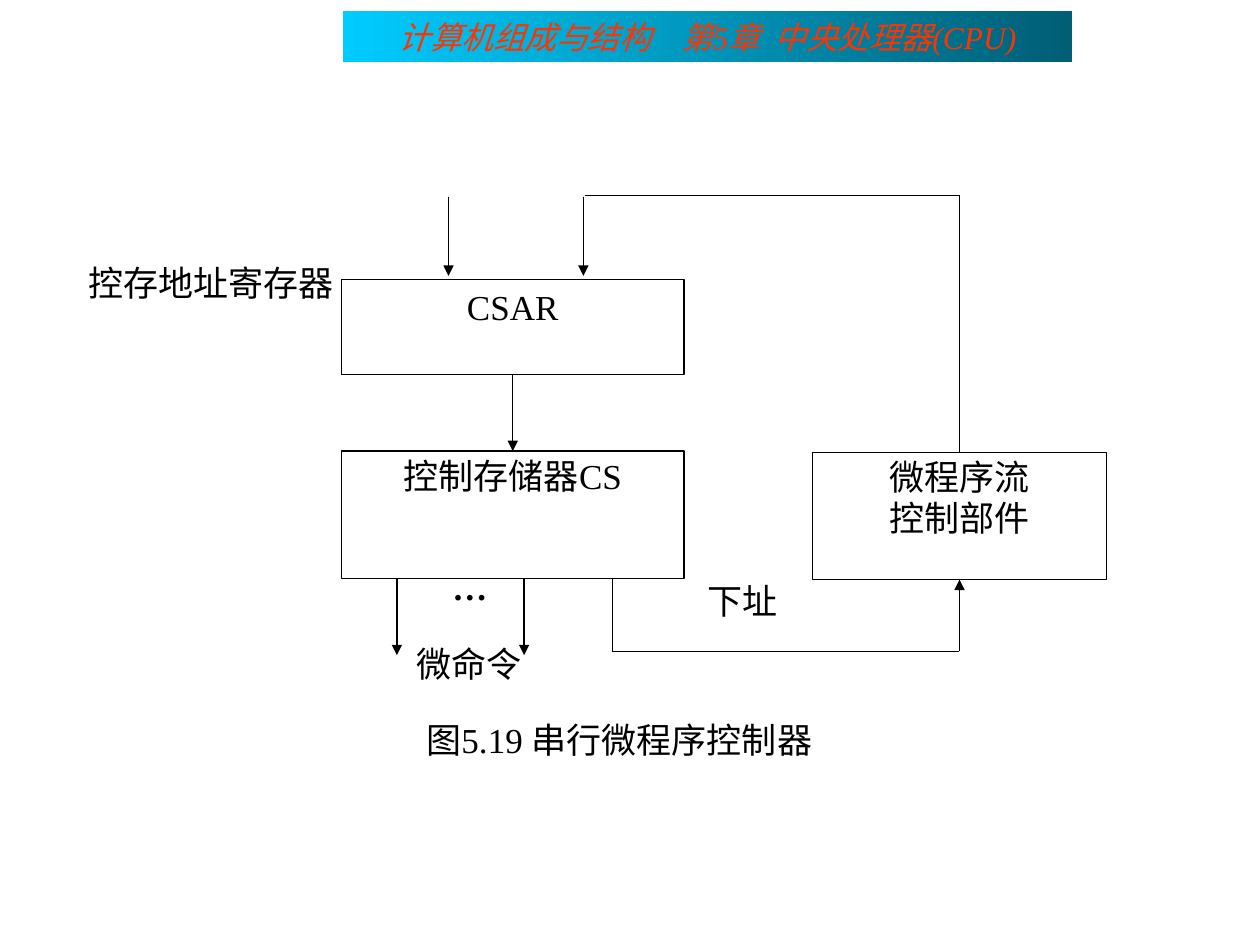
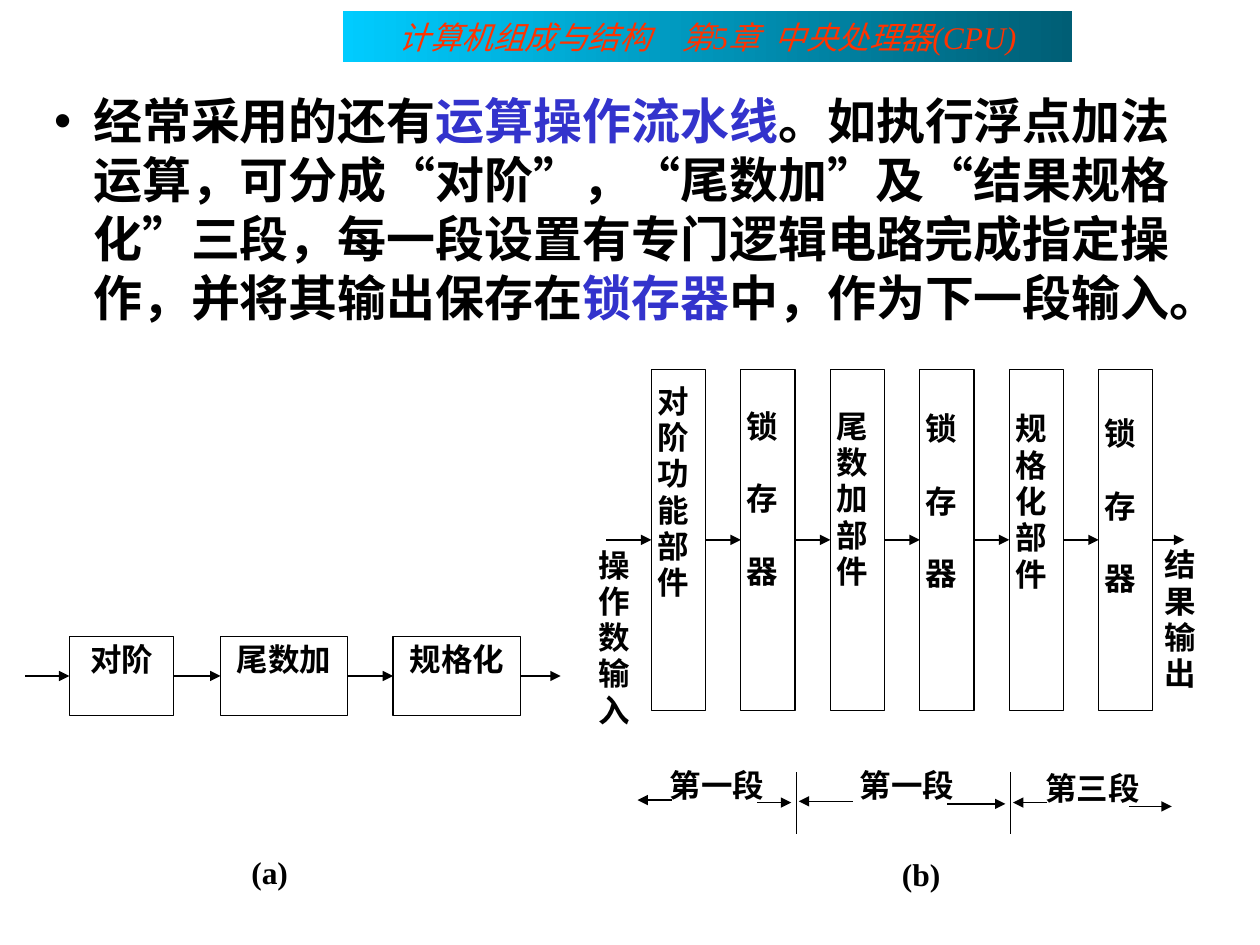
from typing import NamedTuple

from lxml.etree import SubElement
from pptx import Presentation
from pptx.dml.color import RGBColor
from pptx.enum.shapes import MSO_CONNECTOR, MSO_SHAPE
from pptx.enum.text import MSO_ANCHOR, MSO_AUTO_SIZE, PP_ALIGN
from pptx.oxml.ns import qn
from pptx.util import Inches, Pt

# Page grid: 100 columns by 75 rows
WIDE, HIGH = Inches(10), Inches(7.5)
COL, ROW = WIDE / 100, HIGH / 75

BLACK = RGBColor(0x00, 0x00, 0x00)
WHITE = RGBColor(0xFF, 0xFF, 0xFF)
RED = RGBColor(0xFF, 0x33, 0x00)
BLUE = RGBColor(0x33, 0x33, 0xCC)
CYAN = RGBColor(0x00, 0xCC, 0xFF)
TEAL = RGBColor(0x00, 0x5E, 0x75)
SERIF, SANS = "Times New Roman", "Arial"
TOP, LEFT, FOOT, RIGHT = range(4)


class Area(NamedTuple):
    x: float
    y: float
    w: float
    h: float


class Style(NamedTuple):
    size: float
    bold: bool = False
    italic: bool = False
    color: RGBColor = BLACK
    face: str = SERIF


class Label(NamedTuple):
    text: str
    area: Area
    style: Style
    line: float = 0.96
    gap: float = 0


class Wire(NamedTuple):
    x1: float
    y1: float
    x2: float
    y2: float
    arrow: bool = True


PLAIN = Style(20)
STRONG = Style(18, bold=True)
HEAD = Style(18, italic=True, color=RED)
BODY = Style(28, bold=True)


def place(area: Area) -> tuple:
    """Turn grid units into slide lengths."""
    return (round(area.x * COL), round(area.y * ROW),
            round(area.w * COL), round(area.h * ROW))


def move(shape, area: Area) -> None:
    shape.left, shape.top, shape.width, shape.height = place(area)


def add_run(para, text: str, style: Style, space: float = 0) -> None:
    run = para.add_run()
    run.text = text
    font = run.font
    font.name, font.size = style.face, Pt(style.size)
    font.bold, font.italic = style.bold, style.italic
    font.color.rgb = style.color
    props = run._r.get_or_add_rPr()
    props.set("lang", "zh-CN")
    if space:
        props.set("spc", str(round(space * 100)))


def write(frame, label: Label) -> None:
    """Fill a frame with centred lines, from its top edge."""
    frame.word_wrap = True
    frame.vertical_anchor = MSO_ANCHOR.TOP
    for i, text in enumerate(label.text.split("\n")):
        para = frame.add_paragraph() if i else frame.paragraphs[0]
        para.alignment = PP_ALIGN.CENTER
        para.line_spacing = label.line
        if i and label.gap:
            para.space_before = Pt(label.gap)
        add_run(para, text, label.style)


def add_text(slide, label: Label) -> None:
    write(slide.shapes.add_textbox(*place(label.area)).text_frame, label)


def add_box(slide, area: Area):
    box = slide.shapes.add_shape(MSO_SHAPE.RECTANGLE, *place(area))
    box.shadow.inherit = False
    box.fill.solid()
    box.fill.fore_color.rgb = WHITE
    box.line.color.rgb = BLACK
    box.line.width = Pt(0.75)
    return box


def add_block(slide, label: Label):
    box = add_box(slide, label.area)
    write(box.text_frame, label)
    return box


def add_wire(slide, wire: Wire, start=None, end=None):
    """Draw a line; start and end are (shape, side) pairs to join."""
    link = slide.shapes.add_connector(
        MSO_CONNECTOR.STRAIGHT,
        round(wire.x1 * COL), round(wire.y1 * ROW),
        round(wire.x2 * COL), round(wire.y2 * ROW))
    link.line.color.rgb = BLACK
    link.line.width = Pt(0.75)
    if wire.arrow:
        SubElement(link.line._get_or_add_ln(), qn("a:tailEnd"), type="triangle")
    SubElement(link._element.spPr, qn("a:effectLst"))
    if start:
        link.begin_connect(*start)
    if end:
        link.end_connect(*end)


def add_chain(slide, boxes: list, first: Wire, last: Wire) -> None:
    """Join boxes left to right, with one arrow in and one out."""
    add_wire(slide, first, end=(boxes[0], LEFT))
    for prev, box in zip(boxes, boxes[1:]):
        add_wire(slide, Wire(0, 0, 0, 0), (prev, RIGHT), (box, LEFT))
    add_wire(slide, last, start=(boxes[-1], RIGHT))


def new_slide(deck, kind: int):
    """Add a slide with the chapter band as its title."""
    slide = deck.slides.add_slide(deck.slide_layouts[kind])
    band = slide.shapes.title
    move(band, Area(27.2, 0.9, 57.9, 4))
    band.fill.gradient()
    band.fill.gradient_angle = 0
    for stop, color in zip(band.fill.gradient_stops, (CYAN, TEAL)):
        stop.color.rgb = color
    frame = band.text_frame
    frame.auto_size = MSO_AUTO_SIZE.NONE
    frame.vertical_anchor = MSO_ANCHOR.MIDDLE
    para = frame.paragraphs[0]
    para.alignment = PP_ALIGN.CENTER
    # Wide gaps are single spaces with added tracking
    for text, space in (("计算机组成与结构", 0), (" ", 13.5), ("第5章", 0),
                        (" ", 4.5), ("中央处理器(CPU)", 0)):
        add_run(para, text, HEAD, space)
    return slide


def serial_slide(deck) -> None:
    slide = new_slide(deck, 5)

    # Units
    csar = add_block(slide, Label("CSAR", Area(27.1, 22.2, 27.2, 7.5), PLAIN, 1))
    store = add_block(slide, Label("控制存储器CS", Area(27.1, 35.8, 27.2, 10.1), PLAIN))
    flow = add_block(slide, Label("微程序流\n控制部件", Area(64.5, 35.9, 23.3, 10.1), PLAIN))

    # Joined lines
    mid, roof, floor = 76.15, 15.5, 51.7
    add_wire(slide, Wire(0, 0, 0, 0), (csar, FOOT), (store, TOP))
    add_wire(slide, Wire(0, 0, mid, roof, False), start=(flow, TOP))
    add_wire(slide, Wire(mid, floor, 0, 0), end=(flow, FOOT))

    # Free lines
    for x in (35.6, 46.3):
        add_wire(slide, Wire(x, 15.6, x, 21.9))
    for x in (31.5, 41.6):
        add_wire(slide, Wire(x, 45.9, x, 52))
    add_wire(slide, Wire(46.4, roof, mid, roof, False))
    add_wire(slide, Wire(48.6, 45.9, 48.6, floor, False))
    add_wire(slide, Wire(48.6, floor, mid, floor, False))

    # Labels
    for label in (
        Label("控存地址寄存器", Area(5.1, 20.5, 23.3, 10.3), PLAIN),
        Label("…", Area(27.6, 44.6, 19.4, 7.8), Style(20, bold=True)),
        Label("微命令", Area(27.6, 50.7, 19.2, 6.9), PLAIN),
        Label("下址", Area(49.3, 45.7, 19.2, 6.9), PLAIN),
        Label("图5.19 串行微程序控制器", Area(14.2, 56.5, 69.9, 7.8), PLAIN, 1),
    ):
        add_text(slide, label)


def add_body(slide) -> None:
    body = slide.placeholders[1]
    move(body, Area(3.3, 6.7, 91.7, 19.8))
    frame = body.text_frame
    frame.auto_size = MSO_AUTO_SIZE.NONE
    frame.vertical_anchor = MSO_ANCHOR.TOP
    para = frame.paragraphs[0]
    props = para._p.get_or_add_pPr()
    props.set("marL", str(Inches(0.31)))
    props.set("indent", str(-Inches(0.31)))
    para.space_before = Pt(0)
    blue, quote = BODY._replace(color=BLUE), BODY._replace(face=SANS)
    for text, style in (
        ("经常采用的还有", BODY),
        ("运算操作流水线", blue),
        ("。如执行浮点加法运算，可分成", BODY),
        ("“", quote), ("对阶", BODY), ("”", quote),
        ("，", BODY),
        ("“", quote), ("尾数加", BODY), ("”", quote),
        ("及", BODY),
        ("“", quote), ("结果规格化", BODY), ("”", quote),
        ("三段，每一段设置有专门逻辑电路完成指定操作，并将其输出保存在", BODY),
        ("锁存器", blue),
        ("中，作为下一段输入。", BODY),
    ):
        add_run(para, text, style)


def pipe_slide(deck) -> None:
    slide = new_slide(deck, 1)
    add_body(slide)

    # (a) Three steps
    steps = [add_block(slide, Label(text, Area(x, 50.5, w, 6.3), STRONG))
             for text, x, w in (("对阶", 5.5, 8.3), ("尾数加", 17.5, 10.1),
                                ("规格化", 31.2, 10.1))]
    add_chain(slide, steps, Wire(2, 53.65, 0, 0), Wire(0, 0, 44.5, 53.65))

    # (b) Work units and latches by turns
    latch = "锁\n存\n器"
    bars = []
    for i, (text, top) in enumerate((
            ("对阶功能部件", 30), (latch, 32), ("尾数加部件", 32),
            (latch, 32.2), ("规格化部件", 32.2), (latch, 32.6))):
        x = 51.7 + 7.1 * i
        bars.append(add_box(slide, Area(x, 29.3, 4.3, 27.1)))
        add_text(slide, Label(text, Area(x - 0.5, top, 4.3, 27), STRONG, gap=20.7))
    add_chain(slide, bars, Wire(48.1, 42.85, 0, 0), Wire(0, 0, 94, 42.85))

    # Stage marks
    for x in (63.2, 80.2):
        add_wire(slide, Wire(x, 61.3, x, 66.2, False))
    for x1, x2, y in ((53.3, 50.6, 63.5), (60.1, 62.8, 63.7), (67.7, 63.4, 63.6),
                      (75.2, 79.8, 63.8), (83.1, 80.4, 63.7), (89.6, 93, 64)):
        add_wire(slide, Wire(x1, y, x2, y))

    # Labels
    for text, x, y in (("第一段", 51.5, 60.5), ("第一段", 66.6, 60.5),
                       ("第三段", 81.3, 60.7), ("(a)", 16, 67.4), ("(b)", 67.7, 67.6)):
        add_text(slide, Label(text, Area(x, y, 10.8, 7.4), STRONG))
    for text, x, h in (("操作数输入", 46.5, 22.2), ("结果输出", 91.4, 19.7)):
        add_text(slide, Label(text, Area(x, 43, 4.3, h), STRONG))


def main() -> None:
    deck = Presentation()
    deck.slide_width, deck.slide_height = WIDE, HIGH
    serial_slide(deck)
    pipe_slide(deck)
    deck.save("out.pptx")


if __name__ == "__main__":
    main()
